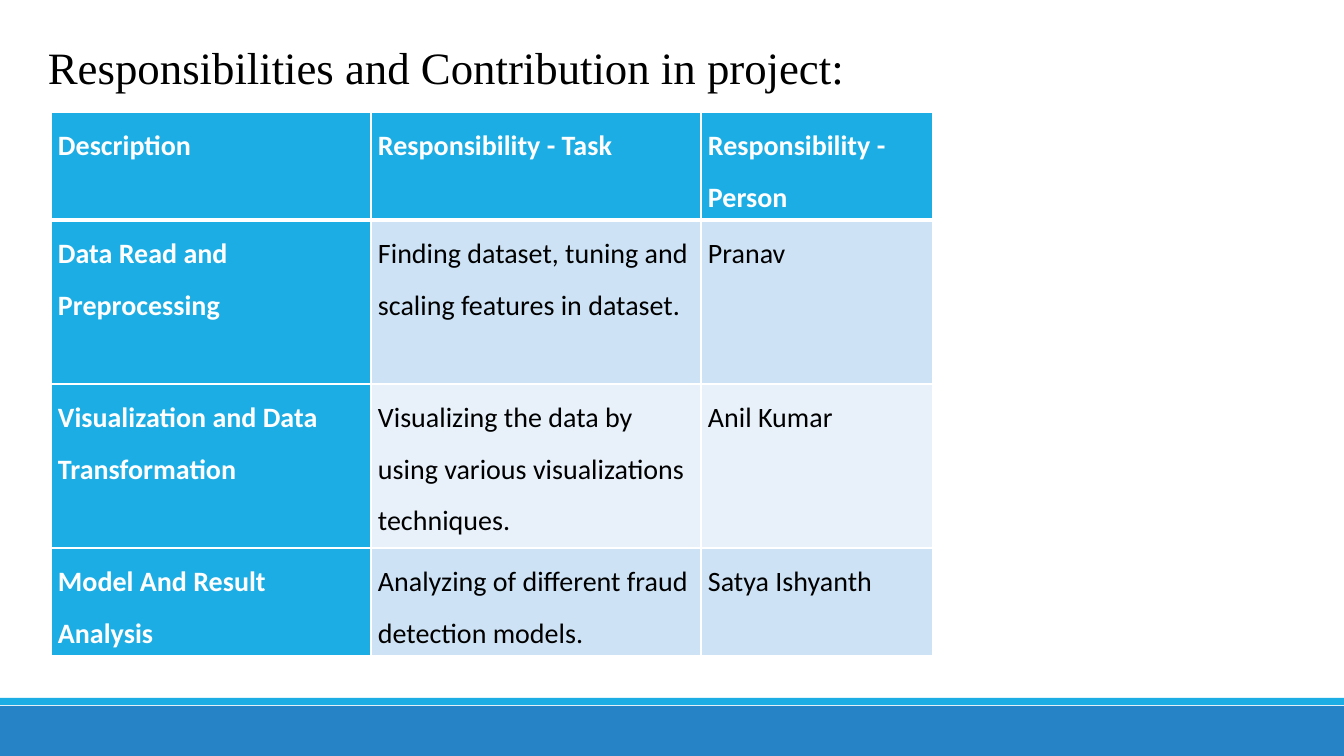
import lxml.etree
import pptx
import pptx.dml.color
import pptx.enum.shapes
import pptx.oxml.ns
import pptx.util

RGB = pptx.dml.color.RGBColor
WHITE = RGB(0xFF, 0xFF, 0xFF)
BLACK = RGB(0x00, 0x00, 0x00)
SKY = RGB(0x1C, 0xAD, 0xE4)
BLUE = RGB(0x26, 0x83, 0xC6)
BAND_DARK = RGB(0xCD, 0xE3, 0xF5)
BAND_LIGHT = RGB(0xE8, 0xF1, 0xFA)

SLIDE_WIDTH, SLIDE_HEIGHT = 1344, 756
EMU_PER_PIXEL = 914400 / 100.8
COLUMN_WIDTHS = [320, 330, 232]
ROW_HEIGHTS = [108, 164, 164, 108]
RESPONSIBILITIES = [
    ["Description", "Responsibility - Task", "Responsibility - Person"],
    ["Data Read and Preprocessing",
     "Finding dataset, tuning and scaling features in dataset.", "Pranav"],
    ["Visualization and Data Transformation",
     "Visualizing the data by using various visualizations techniques.", "Anil Kumar"],
    ["Model And Result Analysis",
     "Analyzing of different fraud detection models.", "Satya Ishyanth"],
]


def px(length):
    """Turn pixels into EMU."""
    return pptx.util.Emu(round(length * EMU_PER_PIXEL))


def apply_format(target, values):
    """Set every attribute named in a dict of format values."""
    for name, value in values.items():
        setattr(target, name, value)


def write_text(frame, text, color, font, margins, line_spacing=1.0):
    """Put one formatted paragraph into a text frame or cell."""
    apply_format(frame, margins)
    paragraph = frame.paragraphs[0]
    paragraph.line_spacing = line_spacing
    run = paragraph.add_run()
    run.text = text
    apply_format(run.font, font)
    run.font.color.rgb = color


def add_bar(slide, top, height, color):
    """Draw a plain bar across the whole slide."""
    bar = slide.shapes.add_shape(
        pptx.enum.shapes.MSO_SHAPE.RECTANGLE, 0, px(top), px(SLIDE_WIDTH), px(height))
    bar.shadow.inherit = False
    bar.fill.solid()
    bar.fill.fore_color.rgb = color
    bar.line.fill.background()


def add_title(slide, text):
    """Add the slide's heading."""
    heading = slide.shapes.add_textbox(px(38), px(35), px(933), px(65))
    write_text(heading.text_frame, text, BLACK,
               {"name": "Times New Roman", "size": pptx.util.Pt(32)},
               {"word_wrap": True})


def set_borders(cell, widths):
    """Give a cell white borders, with widths in points by side."""
    properties = cell._tc.get_or_add_tcPr()
    for position, side in enumerate("LRTB"):
        border = lxml.etree.Element(pptx.oxml.ns.qn("a:ln" + side),
                                    w=str(pptx.util.Pt(widths.get(side, 1))))
        fill = lxml.etree.SubElement(border, pptx.oxml.ns.qn("a:solidFill"))
        lxml.etree.SubElement(fill, pptx.oxml.ns.qn("a:srgbClr"), val=str(WHITE))
        properties.insert(position, border)


def add_responsibility_table(slide):
    """Add the table with a blue header row and first column."""
    table = slide.shapes.add_table(
        len(ROW_HEIGHTS), len(COLUMN_WIDTHS), px(51), px(112),
        px(sum(COLUMN_WIDTHS)), px(sum(ROW_HEIGHTS))).table
    for column, width in zip(table.columns, COLUMN_WIDTHS):
        column.width = px(width)
    for row, height in zip(table.rows, ROW_HEIGHTS):
        row.height = px(height)
    margins = {"margin_left": px(7), "margin_right": px(7),
               "margin_top": 0, "margin_bottom": 0}
    rule_below_header = {0: {"B": 3}, 1: {"T": 3}}
    for row_index, texts in enumerate(RESPONSIBILITIES):
        band = BAND_DARK if row_index % 2 else BAND_LIGHT
        for column_index, text in enumerate(texts):
            is_heading = row_index == 0 or column_index == 0
            cell = table.cell(row_index, column_index)
            cell.fill.solid()
            cell.fill.fore_color.rgb = SKY if is_heading else band
            font = {"name": "Calibri", "size": pptx.util.Pt(20), "bold": is_heading}
            apply_format(cell, margins)
            write_text(cell.text_frame, text, WHITE if is_heading else BLACK,
                       font, {}, line_spacing=1.5)
            set_borders(cell, rule_below_header.get(row_index, {}))


def main():
    """Build and save the slide."""
    deck = pptx.Presentation()
    apply_format(deck, {"slide_width": px(SLIDE_WIDTH), "slide_height": px(SLIDE_HEIGHT)})
    slide = deck.slides.add_slide(deck.slide_layouts[6])
    add_bar(slide, 706, 50, BLUE)
    add_bar(slide, 698, 7, SKY)
    add_title(slide, "Responsibilities and Contribution in project:")
    add_responsibility_table(slide)
    deck.save("out.pptx")


main()
